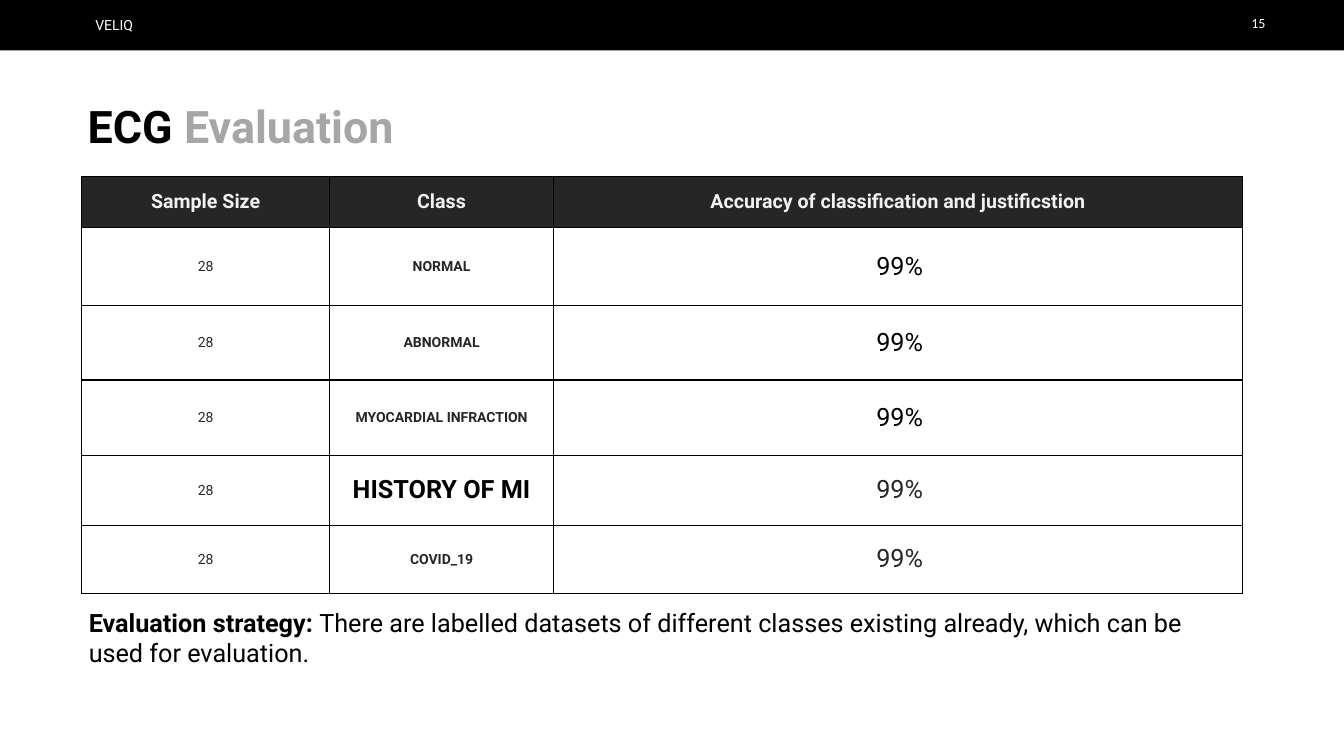
import pptx
import pptx.util
import pptx.dml.color
import pptx.enum.shapes
import pptx.enum.text
import pptx.oxml.ns
from lxml import etree

WIDE, HIGH = pptx.util.Inches(13.33), pptx.util.Inches(7.5)
INSET = pptx.util.Inches(0.05)
ALIGN = pptx.enum.text.PP_ALIGN
ANCHOR = pptx.enum.text.MSO_ANCHOR
BLACK, WHITE, DARK, PALE, GREY = "000000", "FFFFFF", "262626", "F2F2F2", "A6A6A6"

# Column widths and row heights, in percent of the slide
COLS = [18.45, 16.65, 51.3]
ROWS = [6.8, 10.27, 9.87, 10, 9.2, 9.07]

HEADS = ["Sample Size", "Class", "Accuracy of classification and justificstion"]
# Class name, its size and colour, colour of the accuracy
CLASSES = [
    ("NORMAL", 10, DARK, BLACK),
    ("ABNORMAL", 10, DARK, BLACK),
    ("MYOCARDIAL INFRACTION", 10, DARK, BLACK),
    ("HISTORY OF MI", 18, BLACK, DARK),
    ("COVID_19", 10, DARK, DARK),
]


def across(part):
    return round(WIDE * part / 100)


def down(part):
    return round(HIGH * part / 100)


def area(left, top, width, height):
    """Turn percent of the slide into lengths."""
    return across(left), down(top), across(width), down(height)


def paint(target, code):
    """Give a fill or a font a solid hex colour."""
    if hasattr(target, "solid"):
        target.solid()
        target.fore_color.rgb = pptx.dml.color.RGBColor.from_string(code)
    else:
        target.color.rgb = pptx.dml.color.RGBColor.from_string(code)


def add_run(para, text, size, code, bold=False, face="Roboto"):
    run = para.add_run()
    run.text = text
    run.font.size = pptx.util.Pt(size)
    run.font.name = face
    run.font.bold = bold
    paint(run.font, code)


def set_frame(frame, align, wrap=True):
    """Lay out a text frame and return its first paragraph."""
    frame.word_wrap = wrap
    frame.auto_size = pptx.enum.text.MSO_AUTO_SIZE.NONE
    frame.vertical_anchor = ANCHOR.TOP
    frame.margin_left = frame.margin_right = INSET
    frame.margin_top = frame.margin_bottom = INSET
    para = frame.paragraphs[0]
    para.alignment = align
    para.space_before = pptx.util.Pt(0)
    return para


def place(holder, spot):
    """Move a placeholder and return its paragraph, free of bullets."""
    holder.left, holder.top, holder.width, holder.height = spot
    para = set_frame(holder.text_frame, ALIGN.LEFT)
    props = para._p.get_or_add_pPr()
    props.set("marL", "0")
    props.set("indent", "0")
    etree.SubElement(props, pptx.oxml.ns.qn("a:buNone"))
    return para


def add_label(slide, spot, text, face, wrap):
    box = slide.shapes.add_textbox(*spot)
    para = set_frame(box.text_frame, ALIGN.RIGHT, wrap)
    add_run(para, text, 10, WHITE, face=face)


def add_bar(slide):
    bar = slide.shapes.add_shape(
        pptx.enum.shapes.MSO_SHAPE.RECTANGLE, *area(0, 0, 100, 6.67))
    bar.shadow.inherit = False
    paint(bar.fill, BLACK)
    bar.line.fill.background()


def add_edges(cell):
    """Draw thin black borders; they come before the fill in the cell."""
    props = cell._tc.get_or_add_tcPr()
    for spot, side in enumerate(("lnL", "lnR", "lnT", "lnB")):
        line = etree.Element(pptx.oxml.ns.qn("a:" + side), w=str(pptx.util.Pt(1)))
        fill = etree.SubElement(line, pptx.oxml.ns.qn("a:solidFill"))
        etree.SubElement(fill, pptx.oxml.ns.qn("a:srgbClr"), val=BLACK)
        props.insert(spot, line)


def fill_cell(cell, back, text, size, code, bold, indent=0):
    cell.margin_left = cell.margin_right = INSET
    cell.margin_top = cell.margin_bottom = INSET
    cell.vertical_anchor = ANCHOR.MIDDLE
    paint(cell.fill, back)
    add_edges(cell)
    para = cell.text_frame.paragraphs[0]
    para.alignment = ALIGN.CENTER
    if indent:
        para._p.get_or_add_pPr().set("marL", str(pptx.util.Inches(indent)))
    add_run(para, text, size, code, bold)


def add_grid(slide):
    spot = area(6.08, 23.33, sum(COLS), sum(ROWS))
    table = slide.shapes.add_table(len(ROWS), len(COLS), *spot).table
    table.horz_banding = False
    for col, part in zip(table.columns, COLS):
        col.width = across(part)
    for row, part in zip(table.rows, ROWS):
        row.height = down(part)
    for index, head in enumerate(HEADS):
        fill_cell(table.cell(0, index), DARK, head, 14, PALE, True)
    for index, (name, size, code, tone) in enumerate(CLASSES, 1):
        fill_cell(table.cell(index, 0), WHITE, "28", 10, DARK, False)
        fill_cell(table.cell(index, 1), WHITE, name, size, code, True)
        fill_cell(table.cell(index, 2), WHITE, "99%", 18, tone, False, 0.03)


def main():
    deck = pptx.Presentation()
    deck.slide_width, deck.slide_height = WIDE, HIGH
    slide = deck.slides.add_slide(deck.slide_layouts[1])

    # Top bar with the owner and the page number
    add_bar(slide)
    add_label(slide, area(5.85, 1.47, 4.43, 3.6), "VELIQ", "Roboto", True)
    add_label(slide, area(92.5, 1.33, 2.03, 3.6), "15", "Calibri", False)

    # Title
    title = place(slide.shapes.title, area(6.15, 12.4, 89.05, 8.53))
    add_run(title, "ECG ", 32, BLACK, True)
    add_run(title, "Evaluation", 32, GREY, True)

    # Results
    add_grid(slide)

    # Strategy
    body = place(slide.placeholders[1], area(6.23, 79.6, 86.2, 9.47))
    add_run(body, "Evaluation strategy: ", 18, BLACK, True)
    add_run(body, "There are labelled datasets of different classes existing "
                  "already, which can be used for evaluation.", 18, BLACK)

    deck.save("out.pptx")


if __name__ == "__main__":
    main()
